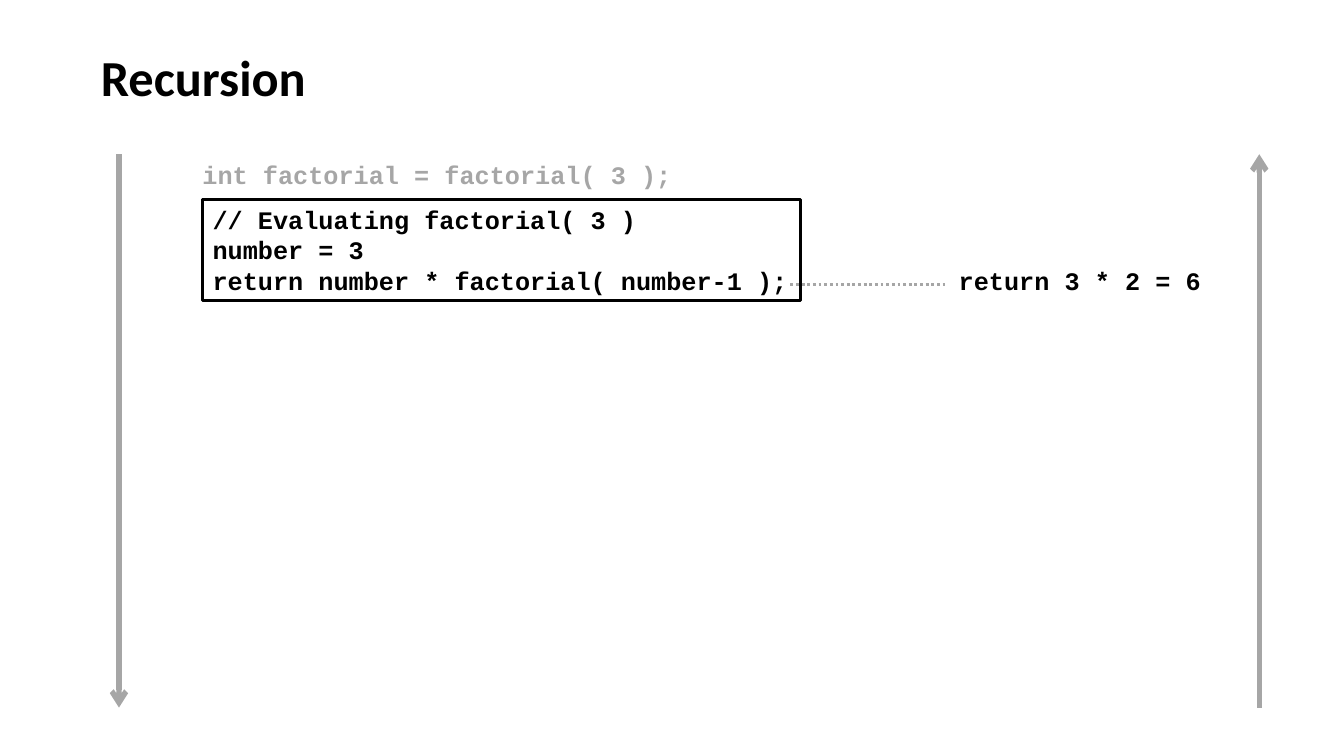
from dataclasses import dataclass

from lxml.etree import SubElement
from pptx import Presentation
from pptx.dml.color import RGBColor
from pptx.enum.dml import MSO_LINE
from pptx.enum.shapes import MSO_CONNECTOR, MSO_SHAPE
from pptx.enum.text import MSO_ANCHOR, MSO_AUTO_SIZE, PP_ALIGN
from pptx.oxml.ns import qn
from pptx.util import Emu, Pt


@dataclass(frozen=True)
class Theme:
    ink: RGBColor = RGBColor(0x00, 0x00, 0x00)
    muted: RGBColor = RGBColor(0xA6, 0xA6, 0xA6)
    paper: RGBColor = RGBColor(0xFF, 0xFF, 0xFF)
    title_font: str = "Calibri"
    code_font: str = "Courier New"
    title_size: int = 36
    code_size: int = 18
    line_width: float = 2
    arrow_width: float = 3.75


def px(n):
    return Emu(n * 9144)


def write(tf, text, *, font, size, color, spacing=None,
          anchor=MSO_ANCHOR.TOP, wrap=True):
    tf.word_wrap = wrap
    tf.auto_size = MSO_AUTO_SIZE.NONE
    tf.vertical_anchor = anchor
    for i, line in enumerate(text.split("\n")):
        p = tf.paragraphs[0] if i == 0 else tf.add_paragraph()
        p.alignment = PP_ALIGN.LEFT
        if spacing:
            p.line_spacing = spacing
        r = p.add_run()
        r.text = line
        r.font.name = font
        r.font.size = Pt(size)
        r.font.bold = True
        r.font.color.rgb = color


class Deck:
    def __init__(self, theme):
        self.theme = theme
        self.prs = Presentation()
        self.prs.slide_width, self.prs.slide_height = px(1333), px(750)
        self.s = None

    def add_slide(self, title):
        t = self.theme
        self.s = self.prs.slides.add_slide(self.prs.slide_layouts[5])
        sp = self.s.shapes.title
        sp.left, sp.top, sp.width, sp.height = map(px, (90, 40, 1150, 80))
        write(sp.text_frame, title, font=t.title_font, size=t.title_size,
              color=t.ink, spacing=0.9, anchor=MSO_ANCHOR.MIDDLE)

    def code(self, text, x, y, w, h, color):
        t = self.theme
        sp = self.s.shapes.add_textbox(px(x), px(y), px(w), px(h))
        write(sp.text_frame, text, font=t.code_font, size=t.code_size,
              color=color, wrap=False)

    def frame(self, text, x, y, w, h):
        t = self.theme
        sp = self.s.shapes.add_shape(MSO_SHAPE.RECTANGLE, px(x), px(y), px(w), px(h))
        sp.shadow.inherit = False
        sp.fill.solid()
        sp.fill.fore_color.rgb = t.paper
        sp.line.color.rgb = t.ink
        sp.line.width = Pt(t.line_width)
        write(sp.text_frame, text, font=t.code_font, size=t.code_size, color=t.ink)

    def line(self, x1, y1, x2, y2, width, dash=None, arrow=False):
        c = self.s.shapes.add_connector(
            MSO_CONNECTOR.STRAIGHT, px(x1), px(y1), px(x2), px(y2))
        c.line.color.rgb = self.theme.muted
        c.line.width = Pt(width)
        if dash:
            c.line.dash_style = dash
        if arrow:
            SubElement(c.line._get_or_add_ln(), qn("a:tailEnd"), type="arrow")
        SubElement(c._element.spPr, qn("a:effectLst"))


def main():
    theme = Theme()
    deck = Deck(theme)
    deck.add_slide("Recursion")
    deck.frame("// Evaluating factorial( 3 )\n"
               "number = 3\n"
               "return number * factorial( number-1 );", 201, 198, 593, 100)
    deck.code("return 3 * 2 = 6", 941, 258, 261, 40, theme.ink)
    deck.line(784, 282, 939, 282, theme.line_width, dash=MSO_LINE.ROUND_DOT)
    deck.code("int factorial = factorial( 3 );", 191, 153, 488, 40, theme.muted)
    top, bottom = 153, 702
    for x, start, end in ((118, top, bottom), (1249, bottom, top)):
        deck.line(x, start, x, end, theme.arrow_width, arrow=True)
    deck.prs.save("out.pptx")


if __name__ == "__main__":
    main()
